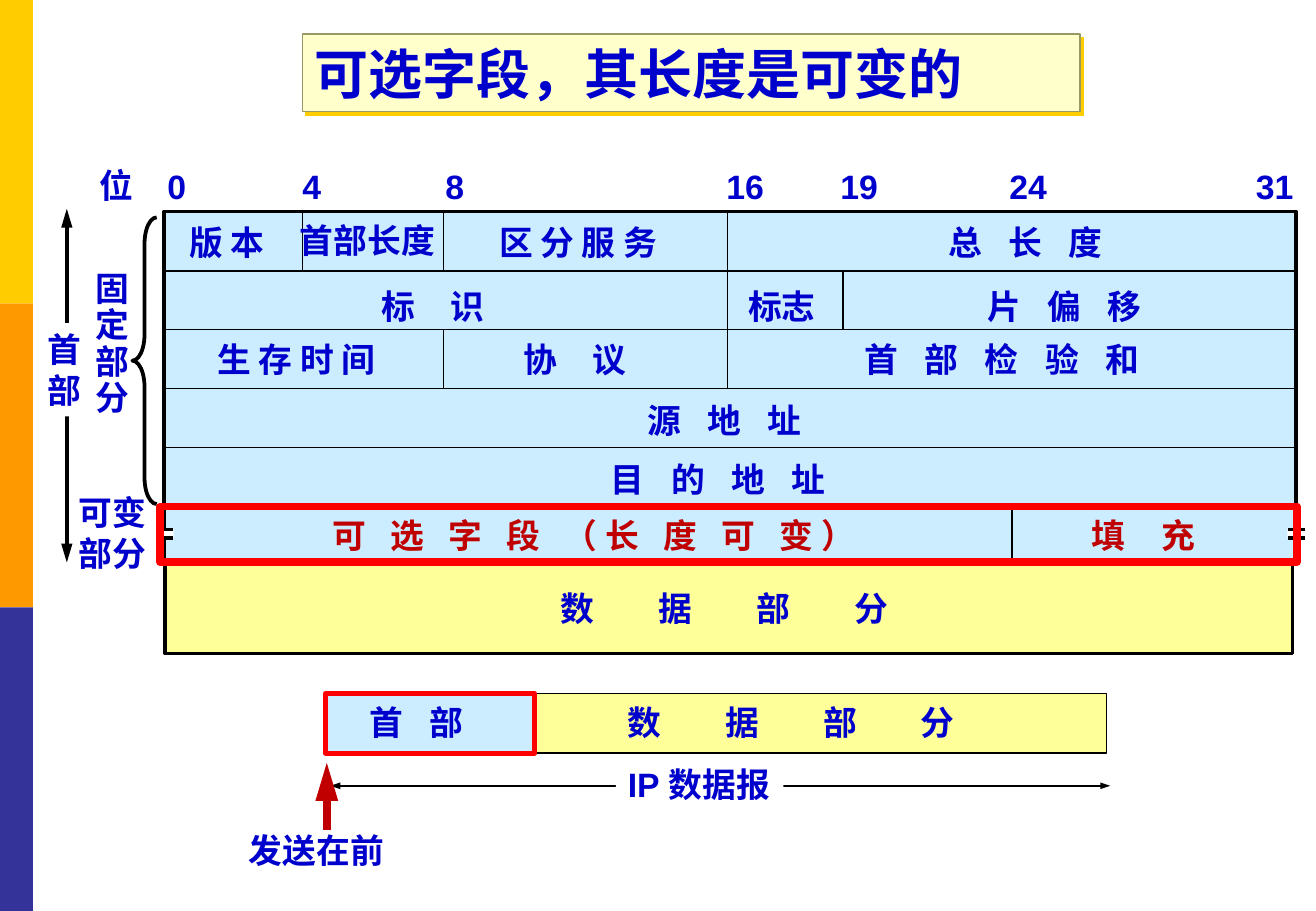
from lxml.etree import SubElement
from pptx import Presentation
from pptx.dml.color import RGBColor
from pptx.enum.shapes import MSO_CONNECTOR, MSO_SHAPE
from pptx.enum.text import MSO_ANCHOR, MSO_AUTO_SIZE, PP_ALIGN
from pptx.oxml.ns import qn
from pptx.util import Pt

BLACK = RGBColor(0x00, 0x00, 0x00)
WHITE = RGBColor(0xFF, 0xFF, 0xFF)
BLUE = RGBColor(0x00, 0x00, 0xCC)
DARK = RGBColor(0xC0, 0x00, 0x00)
RED = RGBColor(0xFF, 0x00, 0x00)
SKY = RGBColor(0xCC, 0xEC, 0xFF)
LEMON = RGBColor(0xFF, 0xFF, 0x99)
CREAM = RGBColor(0xFF, 0xFF, 0xCC)
OLIVE = RGBColor(0x99, 0x99, 0x66)
GOLD = RGBColor(0xFF, 0xCC, 0x00)
AMBER = RGBColor(0xFF, 0x99, 0x00)
NAVY = RGBColor(0x33, 0x33, 0x99)

FONT = "Arial"
SIZE = 20
SPACE = 5.56
WIDE, HIGH = 780, 540
TOP, PITCH = 125.6, 34.9
LEFT, RIGHT = 96.5, 769

TITLE = "可选字段，其长度是可变的"
BITS = [("0", 92.2), ("4", 172.1), ("8", 257), ("16", 423.4),
        ("19", 491), ("24", 591.1), ("31", 737.3)]
ROWS = [
    (128.2, [("版 本", 105.1, 1), ("区 分 服 务", 288.7, 1), ("总 长 度", 555.1, 3)]),
    (165.6, [("标 识", 218.9, 4), ("标志", 436.3, 1), ("片 偏 移", 578.2, 3)]),
    (197.3, [("生 存 时 间", 121.7, 1), ("协 议", 303.1, 4), ("首 部 检 验 和", 505.4, 3)]),
    (233.3, [("源 地 址", 376.6, 3)]),
    (268.6, [("目 的 地 址", 355, 3)]),
    (301.7, [("可 选 字 段 （长 度 可 变）", 190.1, 2.75), ("填 充", 640.1, 4)]),
]
SPLITS = [(179.3, 0, 1), (262.8, 0, 1), (262.8, 2, 3), (431.3, 0, 3),
          (499.7, 1, 2), (599.8, 5, 6)]
LABELS = [("位", 51.8, 94.3, 1), ("首部长度", 170.6, 126.7, 1),
          ("可变\n部分", 39.6, 288, 1), ("数 据 部 分", 325.4, 344.9, 7),
          ("数 据 部 分", 365, 412.6, 7), ("首 部", 211.7, 412.6, 3),
          ("发送在前", 140.4, 488.2, 1)]

deck = Presentation()
deck.slide_width, deck.slide_height = Pt(WIDE), Pt(HIGH)
slide = deck.slides.add_slide(deck.slide_layouts[5])
shapes = slide.shapes


def box(x, y, w, h, fill=None, line=None, thick=1, kind=MSO_SHAPE.RECTANGLE):
    item = shapes.add_shape(kind, Pt(x), Pt(y), Pt(w), Pt(h))
    item.shadow.inherit = False
    if fill is None:
        item.fill.background()
    else:
        item.fill.solid()
        item.fill.fore_color.rgb = fill
    if line is None:
        item.line.fill.background()
    else:
        item.line.color.rgb = line
        item.line.width = Pt(thick)
    return item


def rule(x1, y1, x2, y2, thick=1, color=BLACK, ends=(), wide="med", long="lg"):
    item = shapes.add_connector(MSO_CONNECTOR.STRAIGHT, Pt(x1), Pt(y1), Pt(x2), Pt(y2))
    item.line.color.rgb = color
    item.line.width = Pt(thick)
    props = item._element.spPr
    for end in ends:
        SubElement(props.find(qn("a:ln")), qn("a:" + end), type="triangle", w=wide, len=long)
    SubElement(props, qn("a:effectLst"))


def span(line, gap):
    full = sum(SPACE if c == " " else 11.12 if c.isascii() else SIZE for c in line)
    return full + len(line) * gap


def style(para, size, color):
    para.alignment = PP_ALIGN.LEFT
    font = para.font
    font.name, font.size, font.bold = FONT, Pt(size), True
    font.color.rgb = color


def label(text, x, y, blanks=1, color=BLUE, fill=None, width=None, lead=None):
    lines = text.split("\n")
    gap = (blanks - 1) * SPACE / 2
    wide = width or 14.4 + max(span(line, gap) for line in lines)
    item = shapes.add_textbox(Pt(x), Pt(y), Pt(wide), Pt(6.6 + 24.4 * len(lines) * (lead or 1)))
    if fill is not None:
        item.fill.solid()
        item.fill.fore_color.rgb = fill
    frame = item.text_frame
    frame.word_wrap = width is not None
    frame.text = text
    for para in frame.paragraphs:
        style(para, SIZE, color)
        if lead:
            para.line_spacing = lead
        if gap:
            para.runs[0]._r.get_or_add_rPr().set("spc", str(round(gap * 100)))


for i, color in enumerate((GOLD, AMBER, NAVY)):
    box(0, i * HIGH / 3, 19.6, HIGH / 3, color)

title = shapes.title
title.left, title.top, title.width, title.height = Pt(179.3), Pt(20.2), Pt(460.8), Pt(46)
title.fill.solid()
title.fill.fore_color.rgb = CREAM
title.line.color.rgb = OLIVE
title.line.width = Pt(0.75)
cast = SubElement(SubElement(title._element.spPr, qn("a:effectLst")), qn("a:outerShdw"),
                  dist=str(Pt(2.8)), dir="2700000", algn="ctr", rotWithShape="0")
SubElement(cast, qn("a:srgbClr"), val=str(GOLD))
head = title.text_frame
head.text = TITLE
head.word_wrap = True
head.auto_size = MSO_AUTO_SIZE.NONE
head.vertical_anchor = MSO_ANCHOR.MIDDLE
style(head.paragraphs[0], 32, BLUE)

box(97.2, 125.3, 671, 208.1, SKY, BLACK, 2)
box(97.9, 334.1, 668.2, 53.3, LEMON, BLACK, 2.25)
for i in range(1, 6):
    rule(LEFT, TOP + i * PITCH, RIGHT, TOP + i * PITCH)
for x, first, last in SPLITS:
    rule(x, TOP + first * PITCH, x, TOP + last * PITCH)

rule(195.8, 465.8, 658.1, 465.8, ends=("headEnd", "tailEnd"), wide="sm", long="med")
label("IP 数据报", 365, 449.3, fill=WHITE, width=99.4)
box(193.7, 411.1, 123.1, 35.3, SKY, BLACK)
box(316.1, 411.1, 339.8, 35.3, LEMON, BLACK)

for text, x in BITS:
    label(text, x, 95)
for i, (y, row) in enumerate(ROWS):
    for text, x, blanks in row:
        label(text, x, y, blanks, DARK if i == 5 else BLUE)
for text, x, y, blanks in LABELS:
    label(text, x, y, blanks)
label("固\n定\n部\n分", 49.7, 157.7, lead=0.9)

for x in (91.8, 763):
    box(x, 313.4, 11.2, 5.4, WHITE)
    for y in (314, 319):
        rule(x + 0.4, y, x + 10.5, y, 2)

rule(39.6, 123.8, 39.6, 333.4, 2.25, ends=("headEnd", "tailEnd"))
label("首\n部", 20.9, 191.5, fill=WHITE)
box(95, 300.2, 673.9, 33.1, line=RED, thick=4.5)
box(193, 411.1, 123.8, 35.3, line=RED, thick=3)
brace = box(78.5, 128.9, 14.4, 169.9, line=BLACK, thick=2.25, kind=MSO_SHAPE.LEFT_BRACE)
brace.adjustments[0] = 1.08
rule(193.7, 491.8, 193.7, 452.2, 4.5, DARK, ("tailEnd",))

deck.save("out.pptx")
